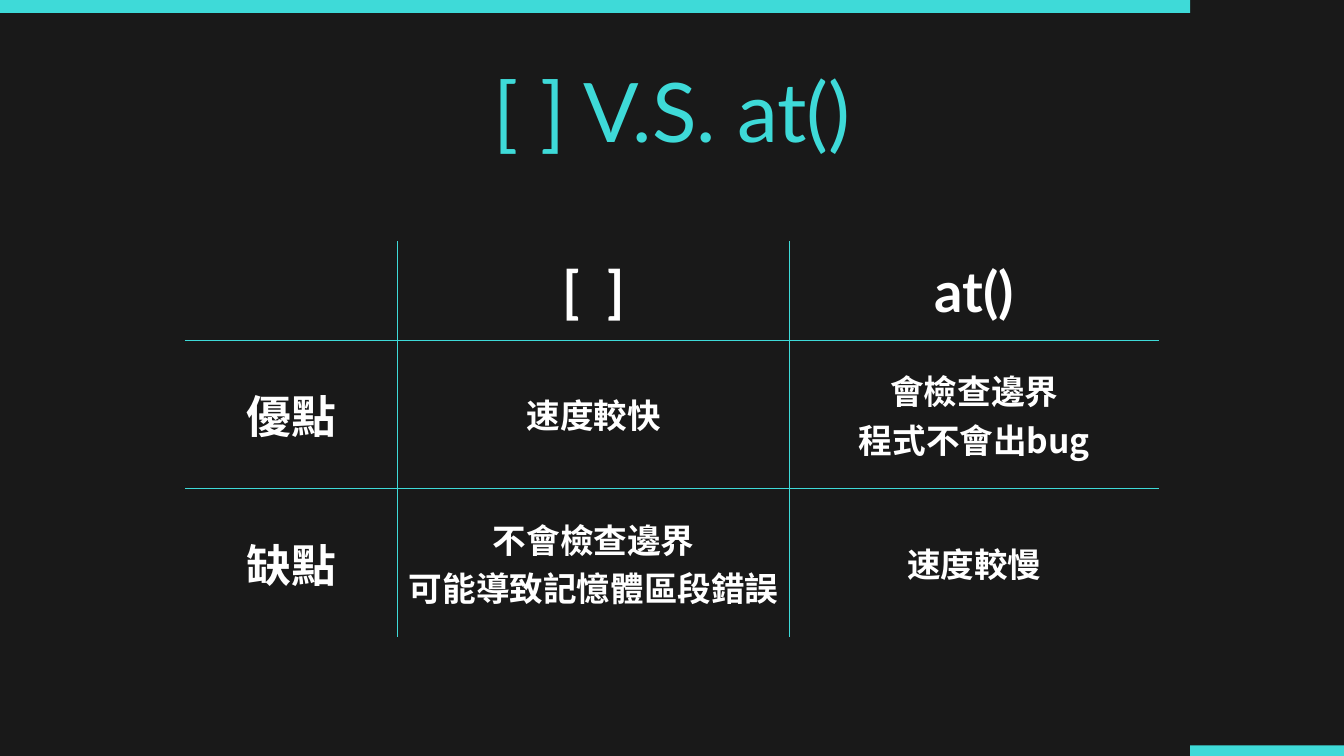
from dataclasses import dataclass

from lxml import etree
from pptx import Presentation
from pptx import util as u
from pptx.dml.color import RGBColor
from pptx.enum import shapes, text
from pptx.oxml.ns import qn

TEAL, WHITE, DARK = "3EDAD8", "FFFFFF", "191919"
LATIN, CJK = "Lato", "Noto Sans CJK SC"
COLUMN_WIDTHS = (3.17, 5.83, 5.5)
ROW_HEIGHTS = (1.47, 2.21, 2.21)


@dataclass
class Bar:
    left: float
    top: float
    width: float
    height: float


@dataclass
class Style:
    size: int
    font: str
    color: str = WHITE
    bold: bool = True


TITLE = Style(88, LATIN, TEAL, False)
HEADING = Style(60, LATIN)
LABEL = Style(48, CJK)
BODY = Style(36, CJK)

BARS = (Bar(17.71, 11.09, 2.5, 0.18), Bar(0, 0, 17.71, 0.19))
COMPARISON = (
    ("", "[  ]", "at()"),
    ("優點", "速度較快", "會檢查邊界\n程式不會出bug"),
    ("缺點", "不會檢查邊界\n可能導致記憶體區段錯誤", "速度較慢"),
)


def rgb(value: str) -> RGBColor:
    return RGBColor.from_string(value)


def write_text(frame, content: str, style: Style) -> None:
    """Fill a text frame with centred paragraphs, one per line."""
    frame.text = content
    for paragraph in frame.paragraphs:
        paragraph.alignment = text.PP_ALIGN.CENTER
        for run in paragraph.runs:
            values = {"size": u.Pt(style.size), "name": style.font, "bold": style.bold}
            for name, value in values.items():
                setattr(run.font, name, value)
            run.font.color.rgb = rgb(style.color)
            east_asian = etree.SubElement(run.font._element, qn("a:ea"))
            east_asian.set("typeface", style.font)


def set_borders(cell, visible: dict[str, bool]) -> None:
    """Draw a thin teal line on each visible side and clear the others."""
    properties = cell._tc.get_or_add_tcPr()
    for position, (side, shown) in enumerate(visible.items()):
        line = etree.Element(qn(f"a:ln{side}"), w=str(u.Pt(1)))
        if shown:
            fill = etree.SubElement(line, qn("a:solidFill"))
            etree.SubElement(fill, qn("a:srgbClr"), val=TEAL)
        else:
            etree.SubElement(line, qn("a:noFill"))
        properties.insert(position, line)


def add_title(slide, content: str) -> None:
    title = slide.shapes.title
    place = {"left": 7.09, "top": 1.17, "width": 5.83, "height": 1.21}
    for name, value in place.items():
        setattr(title, name, u.Inches(value))
    frame = title.text_frame
    for side in ("left", "top", "right", "bottom"):
        setattr(frame, f"margin_{side}", 0)
    frame.word_wrap = True
    frame.auto_size = text.MSO_AUTO_SIZE.SHAPE_TO_FIT_TEXT
    frame.vertical_anchor = text.MSO_ANCHOR.TOP
    write_text(frame, content, TITLE)
    frame.paragraphs[0].line_spacing = u.Pt(86.4)


def add_bar(slide, bar: Bar) -> None:
    box = map(u.Inches, (bar.left, bar.top, bar.width, bar.height))
    shape = slide.shapes.add_shape(shapes.MSO_SHAPE.RECTANGLE, *box)
    shape.shadow.inherit = False
    shape.fill.solid()
    shape.fill.fore_color.rgb = rgb(TEAL)
    shape.line.fill.background()


def add_comparison(slide) -> None:
    rows, columns = len(ROW_HEIGHTS), len(COLUMN_WIDTHS)
    box = map(u.Inches, (2.75, 3.59, sum(COLUMN_WIDTHS), sum(ROW_HEIGHTS)))
    table = slide.shapes.add_table(rows, columns, *box).table
    table.first_row = table.horz_banding = False
    for column, width in zip(table.columns, COLUMN_WIDTHS):
        column.width = u.Inches(width)
    for row, height in zip(table.rows, ROW_HEIGHTS):
        row.height = u.Inches(height)

    for r, contents in enumerate(COMPARISON):
        for c, content in enumerate(contents):
            cell = table.cell(r, c)
            cell.fill.background()
            cell.vertical_anchor = text.MSO_ANCHOR.MIDDLE
            style = HEADING if r == 0 else LABEL if c == 0 else BODY
            write_text(cell.text_frame, content, style)
            # Only the inner grid lines show
            set_borders(cell, {"L": c > 0, "R": c < columns - 1,
                               "T": r > 0, "B": r < rows - 1})


def main() -> None:
    presentation = Presentation()
    presentation.slide_width = u.Inches(20)
    presentation.slide_height = u.Inches(11.25)
    slide = presentation.slides.add_slide(presentation.slide_layouts.get_by_name("Title Only"))
    slide.background.fill.solid()
    slide.background.fill.fore_color.rgb = rgb(DARK)

    # Title, edge bars, then the comparison table
    add_title(slide, "[ ] V.S. at()")
    for bar in BARS:
        add_bar(slide, bar)
    add_comparison(slide)
    presentation.save("out.pptx")


if __name__ == "__main__":
    main()
